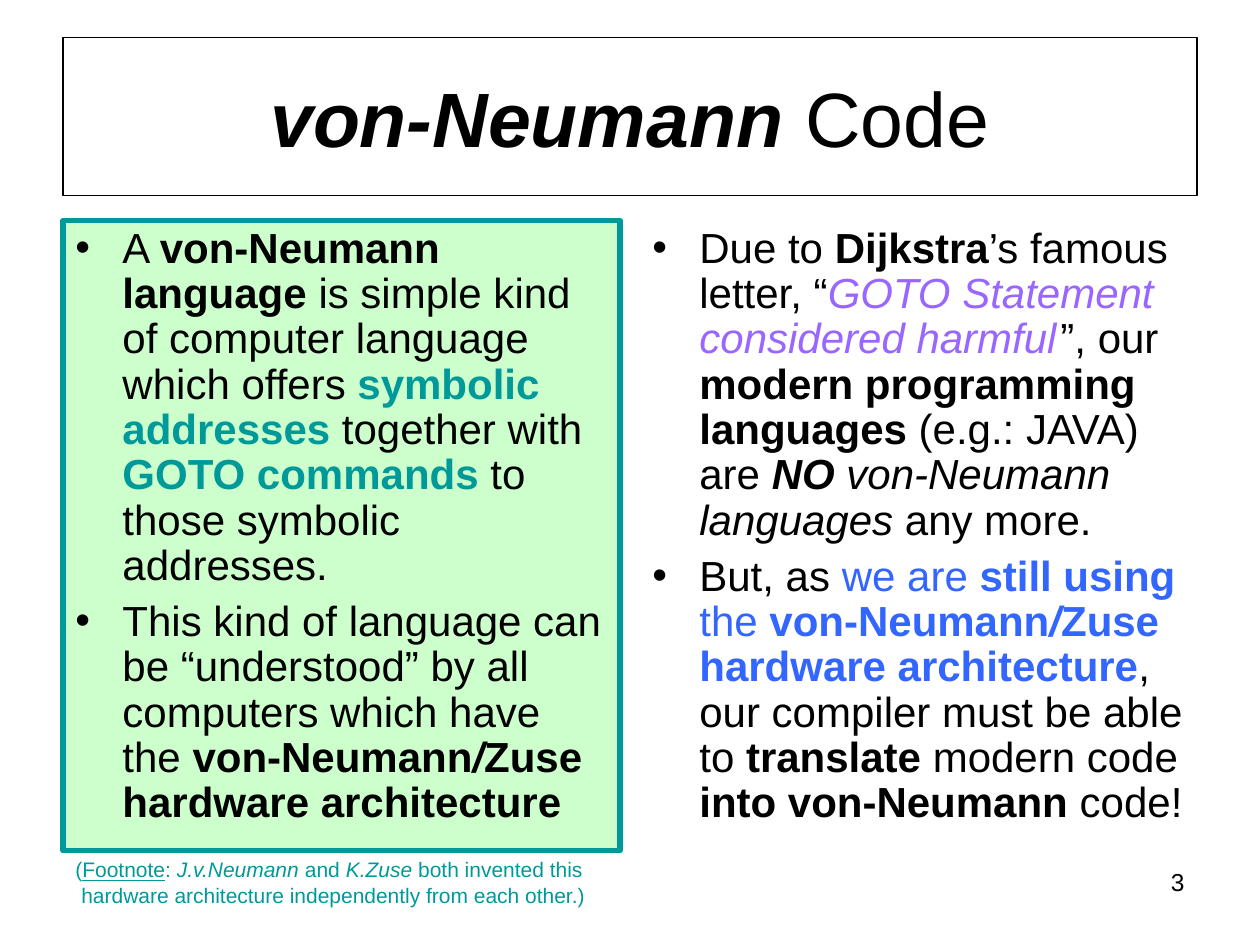
from dataclasses import dataclass

from lxml.etree import SubElement
from pptx import Presentation
from pptx.dml.color import RGBColor as Rgb
from pptx.enum.shapes import MSO_SHAPE as Shape
from pptx.enum.text import MSO_ANCHOR as Anchor, PP_ALIGN as Align
from pptx.oxml.ns import qn
from pptx.util import Cm, Pt


@dataclass(frozen=True)
class Theme:
    font: str = "Arial"
    black: str = "000000"
    teal: str = "009999"
    mint: str = "CCFFCC"
    violet: str = "9966FF"
    blue: str = "3366FF"
    title: int = 44
    body: int = 24
    gap: int = 8
    note: int = 12
    page: int = 14


THEME = Theme()

# A run is (text, style letters, colour, size); the last three may be left out.
TITLE = [("von-Neumann", "bi"), (" Code",)]

LEFT = [
    [("A ",), ("von-Neumann language", "b"),
     (" is simple kind of computer language which offers ",),
     ("symbolic addresses", "b", THEME.teal), (" together with ",),
     ("GOTO commands", "b", THEME.teal), (" to those symbolic addresses.",)],
    [("This kind of language can be “understood” by all computers which have the ",),
     ("von-Neumann", "b"), ("/", "bi"), ("Zuse hardware architecture", "b")],
]

RIGHT = [
    [("Due to ",), ("Dijkstra", "b"), ("’s famous letter, “",),
     ("GOTO Statement considered harmful", "i", THEME.violet),
     (" ", "i", THEME.violet, THEME.gap), ("”, our ",),
     ("modern programming languages", "b"), (" (e.g.: JAVA) are ",),
     ("NO ", "bi"), ("von-Neumann languages", "i"), (" any more.",)],
    [("But, as ",), ("we are ", "", THEME.blue), ("still using", "b", THEME.blue),
     (" the ", "", THEME.blue), ("von-Neumann", "b", THEME.blue),
     ("/", "bi", THEME.blue), ("Zuse hardware architecture", "b", THEME.blue),
     (", our compiler must be able to ",), ("translate", "b"),
     (" modern code ",), ("into von-Neumann", "b"), (" code!",)],
]

NOTE = [
    [("(",), ("Footnote", "u"), (": ",), ("J.v.Neumann", "i"), (" and ",),
     ("K.Zuse", "i"), (" both invented this",)],
    [("hardware architecture independently from each other.)",)],
]


def add_run(para, base, color, text, style="", tint=None, size=None):
    run = para.add_run()
    run.text = text
    font = run.font
    font.name = THEME.font
    font.size = Pt(size or base)
    font.color.rgb = Rgb.from_string(tint or color)
    font.bold, font.italic, font.underline = (key in style for key in "biu")


def fill_text(frame, paras, size, color=THEME.black, align=Align.LEFT):
    """Write the runs of each paragraph and return the paragraphs."""
    frame.word_wrap = True
    for index, runs in enumerate(paras):
        para = frame.add_paragraph() if index else frame.paragraphs[0]
        para.alignment = align
        for run in runs:
            add_run(para, size, color, *run)
    return frame.paragraphs


def indent(para, left, first=0):
    props = para._p.get_or_add_pPr()
    props.set("marL", str(Cm(left)))
    props.set("indent", str(Cm(first)))
    return props


def add_panel(slide, box, line, width, fill=None):
    panel = slide.shapes.add_shape(Shape.RECTANGLE, *map(Cm, box))
    panel.shadow.inherit = False
    panel.line.color.rgb = Rgb.from_string(line)
    panel.line.width = Pt(width)
    if fill:
        panel.fill.solid()
        panel.fill.fore_color.rgb = Rgb.from_string(fill)
    else:
        panel.fill.background()
    return panel.text_frame


def add_label(slide, box):
    return slide.shapes.add_textbox(*map(Cm, box)).text_frame


def add_title(slide, box):
    frame = add_panel(slide, box, THEME.black, 0.75)
    frame.vertical_anchor = Anchor.MIDDLE
    fill_text(frame, [TITLE], THEME.title, align=Align.CENTER)


def add_list(frame, items):
    frame.vertical_anchor = Anchor.TOP
    for index, para in enumerate(fill_text(frame, items, THEME.body)):
        para.line_spacing = 0.9
        para.space_before = Pt(6 if index else 0)
        props = indent(para, 0.95, -0.95)
        tint = SubElement(props, qn("a:buClr"))
        SubElement(tint, qn("a:srgbClr"), val=THEME.black)
        SubElement(props, qn("a:buFont"), typeface=THEME.font)
        SubElement(props, qn("a:buChar"), char="•")


def add_columns(slide, box):
    """Place two equal columns, the left one framed."""
    left, top, width, height = box
    gap = 0.4
    each = (width - gap) / 2
    add_list(add_panel(slide, (left, top, each, height),
                       THEME.teal, 3, THEME.mint), LEFT)
    add_list(add_label(slide, (left + each + gap, top, each, height)), RIGHT)


def add_footer(slide, box):
    """Place the footnote at the left and the page number at the right."""
    left, top, width, height = box
    frame = add_label(slide, (left, top, 10.9, height))
    paras = fill_text(frame, NOTE, THEME.note, THEME.teal)
    frame.word_wrap = False
    indent(paras[1], 0.12)
    page = 5.9
    number = add_label(slide, (left + width - page, top + 0.2, page, height))
    fill_text(number, [[("3",)]], THEME.page, align=Align.RIGHT)


def main():
    deck = Presentation()
    deck.slide_width, deck.slide_height = Cm(25.4), Cm(19.05)
    slide = deck.slides.add_slide(deck.slide_layouts[6])
    left, width = 1.27, 22.86
    add_title(slide, (left, 0.76, width, 3.18))
    add_columns(slide, (left, 4.45, width, 12.7))
    add_footer(slide, (left, 17.15, width, 1.28))
    deck.save("out.pptx")


if __name__ == "__main__":
    main()
